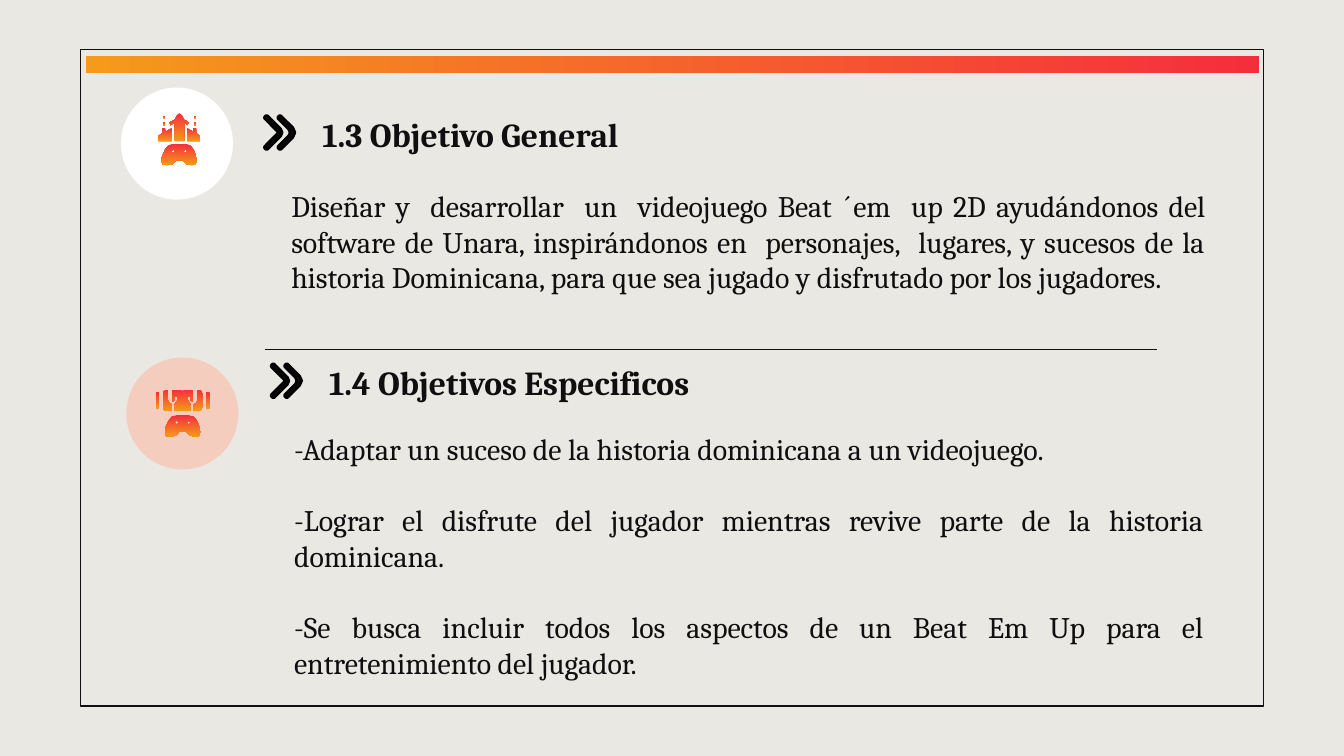
from pptx import Presentation, util as u
from pptx.dml.color import RGBColor
from pptx.enum import shapes, text
from pptx.oxml.ns import qn
from lxml import etree

INK = RGBColor(0x10, 0x0E, 0x0E)
BLACK = RGBColor(0, 0, 0)
WHITE = RGBColor(0xFF, 0xFF, 0xFF)
PAPER = RGBColor(0xE9, 0xE8, 0xE3)
PEACH = RGBColor(0xF5, 0xCD, 0xBF)
RED = RGBColor(0xF5, 0x2E, 0x3C)
ORANGE = RGBColor(0xF5, 0x9A, 0x1B)

FONT = "Cambria"
UNIT = 0.72
DISC = 60
DOWN, RIGHT = 270, 0

GENERAL = ["Diseñar y  desarrollar  un  videojuego Beat  ́em  up 2D ayudándonos del "
           "software de Unara, inspirándonos en  personajes,  lugares, y sucesos de la "
           "historia Dominicana, para que sea jugado y disfrutado por los jugadores."]
SPECIFIC = ["-Adaptar un suceso de la historia dominicana a un videojuego.",
            "-Lograr el disfrute del jugador mientras revive parte de la historia dominicana.",
            "-Se busca incluir todos los aspectos de un Beat Em Up para el "
            "entretenimiento del jugador."]


def flip(points):
    return [(-x, y) for x, y in reversed(points)]


def pair(points):
    return [[points], [flip(points)]]


def whole(half):
    return half + flip(half)


def block(x, y, w, h):
    return [(x, y), (x + w, y), (x + w, y + h), (x, y + h)]


def gamepad(top):
    body = whole([(-4.5, 0), (-8, 1), (-10.5, 4), (-13, 10), (-13.5, 13), (-12, 15.5),
                  (-9, 16), (-5, 15), (-2.5, 12.2), (-1, 12)])
    eye = [(-4.5, 4), (-3, 5.5), (-4.5, 7), (-6, 5.5)]
    return [[(x, y + top) for x, y in part] for part in (body, eye, flip(eye))]


ARROW = whole([(0, 19), (-2, 21), (-3.5, 24), (-7.5, 26), (-6.5, 28), (-3.5, 26), (-3.5, 40)])
TOWER = [(-5.5, 30), (-10.5, 33), (-10.5, 30), (-12.5, 30), (-12.5, 34), (-15.5, 36),
         (-15.5, 40), (-5.5, 40)]
ADVANCE_ICON = [gamepad(42), [ARROW], *pair(TOWER),
                *pair(block(-12.5, 21, 2, 2)), *pair(block(-12.5, 26, 2, 2))]

CHEST = whole([(0, 25), (-2, 24), (-8, 24), (-8, 32), (-7, 33), (-6, 32), (-6, 29), (-4, 29),
               (-4, 32), (-6, 35), (-6, 39), (-5, 40), (-2, 40), (0, 39)])
SIDE = [(-12, 24), (-14, 25), (-15, 27), (-15, 37), (-14, 39), (-12, 40), (-8, 40), (-8, 35),
        (-10, 34), (-11, 32), (-11, 24)]
STRENGTH_ICON = [gamepad(43), [CHEST], *pair(SIDE), *pair(block(-20, 26, 2.5, 12))]

INNER_CHEVRON = [(1, 25), (0, 24), (0, 23), (10, 13), (10, 12), (0, 2), (0, 1), (1, 0), (2, 0),
                 (12, 10), (13, 12.5), (12, 15), (2, 25)]
OUTER_CHEVRON = [(11, 25), (10, 24), (10, 23), (18, 15), (19, 12.5), (18, 10), (10, 2), (10, 1),
                 (11, 0), (12, 0), (21, 9), (22.5, 12.5), (21, 16), (12, 25)]


def paint(sp, fill=None, line=None, width=0.75):
    sp.shadow.inherit = False
    if fill is None:
        sp.fill.background()
    else:
        sp.fill.solid()
        sp.fill.fore_color.rgb = fill
    if line is None:
        sp.line.fill.background()
    else:
        sp.line.color.rgb = line
        sp.line.width = u.Pt(width)


def paint_gradient(sp, angle, *colors):
    paint(sp)
    sp.fill.gradient()
    sp.fill.gradient_angle = angle
    for stop, color in zip(sp.fill.gradient_stops, colors):
        stop.color.rgb = color


def add_preset(slide, kind, *box):
    return slide.shapes.add_shape(kind, *map(u.Pt, box))


def add_outline(group, contours, left, top):
    placed = [[(u.Pt(left + x * UNIT), u.Pt(top + y * UNIT)) for x, y in c] for c in contours]
    builder = group.shapes.build_freeform(*placed[0][0])
    for i, points in enumerate(placed):
        if i:
            builder.move_to(*points[0])
        builder.add_line_segments(points[1:], close=True)
    return builder.convert_to_shape()


def add_text(slide, box, paragraphs, size, bold=False, align=text.PP_ALIGN.LEFT):
    tf = slide.shapes.add_textbox(*map(u.Pt, box)).text_frame
    frame = dict.fromkeys(("margin_left", "margin_right", "margin_top", "margin_bottom"), u.Pt(7.2))
    frame.update(word_wrap=True, vertical_anchor=text.MSO_ANCHOR.MIDDLE)
    for name, value in frame.items():
        setattr(tf, name, value)
    for i, words in enumerate(paragraphs):
        p = tf.add_paragraph() if i else tf.paragraphs[0]
        p.alignment = align
        p.space_before = u.Pt(19 if i else 0)
        r = p.add_run()
        r.text = words
        for name, value in {"name": FONT, "size": u.Pt(size), "bold": bold}.items():
            setattr(r.font, name, value)
        r.font.color.rgb = INK


def add_frame(slide, left, top, width, height):
    paint(add_preset(slide, shapes.MSO_SHAPE.RECTANGLE, left, top, width, height), line=INK)
    bar = add_preset(slide, shapes.MSO_SHAPE.RECTANGLE, left + 2.8, top + 3.5, width - 5.2, 9.2)
    paint_gradient(bar, RIGHT, ORANGE, RED)


def add_divider(slide, left, top, width):
    line = slide.shapes.add_connector(shapes.MSO_CONNECTOR.STRAIGHT,
                                      *map(u.Pt, (left, top, left + width, top)))
    line.line.color.rgb = INK
    line.line.width = u.Pt(0.75)
    etree.SubElement(line._element.spPr, qn("a:effectLst"))


def add_badge(slide, left, top, color, icon, axis):
    paint(add_preset(slide, shapes.MSO_SHAPE.OVAL, left, top, DISC, DISC), color)
    group = slide.shapes.add_group_shape()
    for contours in icon:
        paint_gradient(add_outline(group, contours, left + axis, top), DOWN, RED, ORANGE)


def add_chevrons(slide, left, top):
    group = slide.shapes.add_group_shape()
    for points in (OUTER_CHEVRON, INNER_CHEVRON):
        paint(add_outline(group, [points], left, top), INK, BLACK, 1.5)


def add_objective(slide, left, top, title, title_width, paragraphs, body):
    x, y, width, height = body
    add_chevrons(slide, left, top)
    add_text(slide, (left + 23.8, top - 13, title_width, 45.4), [title], 18, bold=True)
    add_text(slide, (left + x, top + y, width, height), paragraphs, 16,
             align=text.PP_ALIGN.JUSTIFY)


def main():
    prs = Presentation()
    prs.slide_width, prs.slide_height = u.Pt(720), u.Pt(405)
    slide = prs.slides.add_slide(prs.slide_layouts[6])
    slide.background.fill.solid()
    slide.background.fill.fore_color.rgb = PAPER
    add_frame(slide, 43.2, 26.7, 633.6, 351.6)
    add_objective(slide, 141.8, 62, "1.3 Objetivo General", 249, GENERAL, (7.2, 33, 504, 68.4))
    add_divider(slide, 141.8, 187.2, 478.1)
    add_objective(slide, 145.4, 195, "1.4 Objetivos Especificos", 310, SPECIFIC,
                  (5.1, 42.6, 501.8, 120.2))
    add_badge(slide, 64.8, 46.9, WHITE, ADVANCE_ICON, 31.3)
    add_badge(slide, 67.7, 191.5, PEACH, STRENGTH_ICON, 30.2)
    prs.save("out.pptx")


if __name__ == "__main__":
    main()
